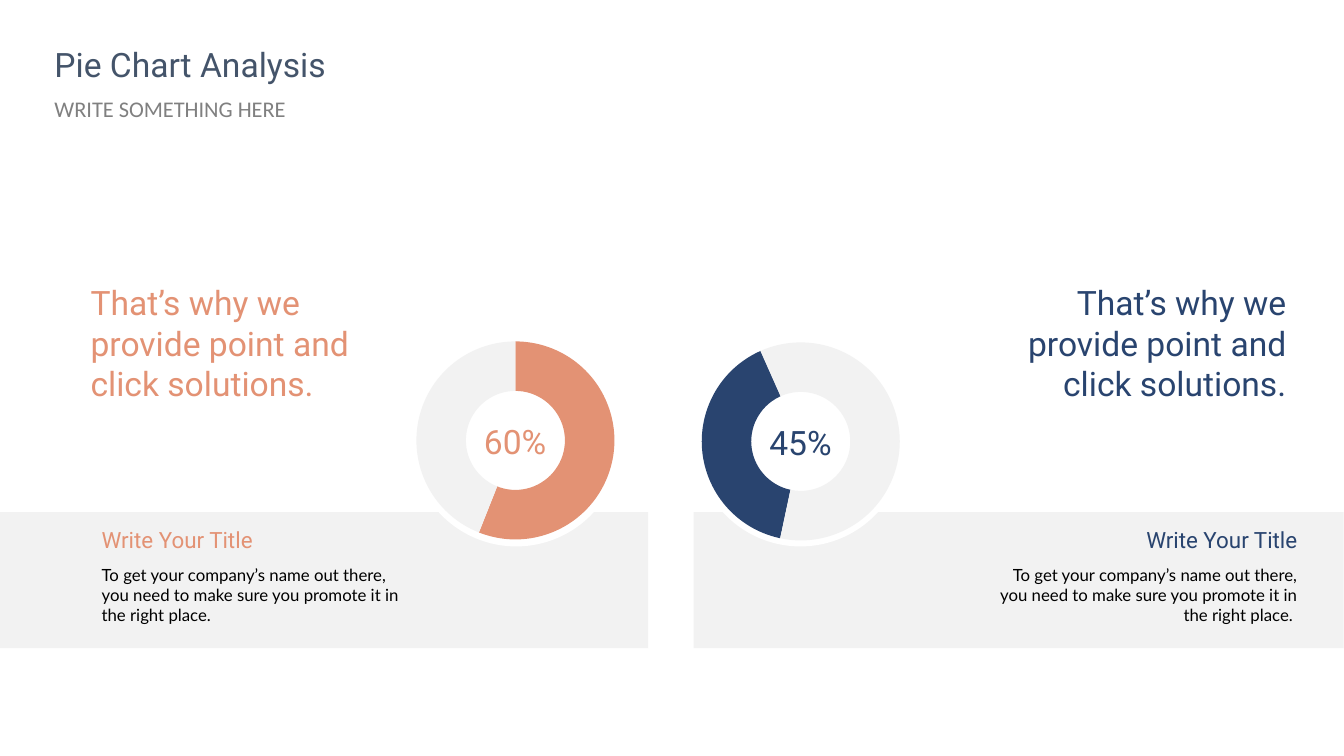
from dataclasses import dataclass

from lxml.etree import SubElement
from pptx import Presentation
from pptx.chart.data import CategoryChartData
from pptx.dml.color import RGBColor
from pptx.enum.chart import XL_CHART_TYPE
from pptx.enum.shapes import MSO_SHAPE
from pptx.enum.text import MSO_ANCHOR, MSO_AUTO_SIZE, PP_ALIGN
from pptx.oxml.ns import qn
from pptx.shapes.base import BaseShape
from pptx.slide import Slide
from pptx.util import Pt

CORAL, NAVY = "E39274", "29446F"
SLATE, GRAY, BLACK = "44546A", "808080", "000000"
PALE, WHITE = "F2F2F2", "FFFFFF"

QUOTE = "That’s why we provide point and click solutions."
HEADING = "Write Your Title"
DETAIL = ("To get your company’s name out there, you need to make sure "
          "you promote it in the right place.")

RING_WIDTH, RING_HEIGHT, RING_DIAMETER = 172, 161.3, 141.5
DISC_DIAMETER = 149.8


@dataclass(frozen=True)
class Box:
    left: float
    top: float
    width: float
    height: float


@dataclass(frozen=True)
class Panel:
    color: str
    alignment: PP_ALIGN
    band_left: float
    disc_left: float
    ring_left: float
    ring_top: float
    label: str
    share: int
    start_angle: int
    quote_left: float
    heading_left: float
    detail_left: float
    detail: str


PANELS = [
    Panel(CORAL, PP_ALIGN.LEFT, -1.4, 293.8, 282.2, 234, "60%", 56, 0,
          57.6, 65.5, 65.5, DETAIL),
    Panel(NAVY, PP_ALIGN.RIGHT, 495.4, 496.8, 486, 234.7, "45%", 40, 192,
          694.1, 717.1, 702, DETAIL + " "),
]


def color_of(value: str) -> RGBColor:
    return RGBColor.from_string(value)


def place(shape: BaseShape, box: Box) -> None:
    shape.left, shape.top = Pt(box.left), Pt(box.top)
    shape.width, shape.height = Pt(box.width), Pt(box.height)


def write(shape: BaseShape, text: str, *, size: float, color: str,
          font: str = "Roboto", alignment: PP_ALIGN = PP_ALIGN.LEFT,
          plain: bool = False) -> None:
    """Fill a shape with one formatted paragraph; plain removes the bullet."""
    frame = shape.text_frame
    frame.word_wrap = True
    frame.auto_size = MSO_AUTO_SIZE.NONE
    frame.vertical_anchor = MSO_ANCHOR.TOP
    frame.text = text
    paragraph = frame.paragraphs[0]
    paragraph.alignment = alignment
    paragraph.space_before = Pt(0)
    if plain:
        properties = paragraph._p.get_or_add_pPr()
        properties.set("marL", "0")
        properties.set("indent", "0")
        SubElement(properties, qn("a:buNone"))
    paragraph.font.name = font
    paragraph.font.size = Pt(size)
    paragraph.font.color.rgb = color_of(color)


def add_text(slide: Slide, box: Box, text: str, **text_format) -> None:
    shape = slide.shapes.add_textbox(Pt(box.left), Pt(box.top),
                                     Pt(box.width), Pt(box.height))
    write(shape, text, **text_format)


def add_block(slide: Slide, kind: MSO_SHAPE, box: Box, fill: str) -> None:
    shape = slide.shapes.add_shape(kind, Pt(box.left), Pt(box.top),
                                   Pt(box.width), Pt(box.height))
    shape.shadow.inherit = False
    shape.fill.solid()
    shape.fill.fore_color.rgb = color_of(fill)
    shape.line.fill.background()


def add_ring(slide: Slide, panel: Panel) -> None:
    data = CategoryChartData()
    data.categories = ["1", "2"]
    data.add_series("Series 1", (panel.share, 100 - panel.share))
    chart = slide.shapes.add_chart(
        XL_CHART_TYPE.DOUGHNUT, Pt(panel.ring_left), Pt(panel.ring_top),
        Pt(RING_WIDTH), Pt(RING_HEIGHT), data).chart
    chart.has_legend = False
    chart.has_title = False
    chart.font.name = "Calibri"
    chart.font.size = Pt(10)
    chart.font.color.rgb = color_of(BLACK)
    plot = chart.plots[0]
    plot.vary_by_categories = True
    for index, fill in enumerate((panel.color, PALE)):
        point = plot.series[0].points[index]
        point.format.fill.solid()
        point.format.fill.fore_color.rgb = color_of(fill)
        point.format.line.fill.background()

    # Rotation, hole and a centred plot area
    root = chart._chartSpace
    for tag, value in (("firstSliceAng", panel.start_angle), ("holeSize", 75)):
        for element in root.iter(qn(f"c:{tag}")):
            element.set("val", str(value))
    plot_area = next(root.iter(qn("c:plotArea")))
    for layout in plot_area.findall(qn("c:layout")):
        plot_area.remove(layout)
    layout = SubElement(plot_area, qn("c:layout"))
    plot_area.insert(0, layout)
    manual = SubElement(layout, qn("c:manualLayout"))
    width, height = RING_DIAMETER / RING_WIDTH, RING_DIAMETER / RING_HEIGHT
    settings = {"layoutTarget": "inner", "xMode": "edge", "yMode": "edge",
                "x": (1 - width) / 2, "y": (1 - height) / 2,
                "w": width, "h": height}
    for tag, value in settings.items():
        SubElement(manual, qn(f"c:{tag}")).set("val", str(value))


def add_panel(slide: Slide, panel: Panel) -> None:
    # Band, white disc and ring
    add_block(slide, MSO_SHAPE.RECTANGLE,
              Box(panel.band_left, 365.8, 464.4, 97.2), PALE)
    add_block(slide, MSO_SHAPE.OVAL,
              Box(panel.disc_left, 240.5, DISC_DIAMETER, DISC_DIAMETER), WHITE)
    add_ring(slide, panel)
    add_text(slide, Box(panel.ring_left + 35, panel.ring_top + 63.4, 101.5, 36),
             panel.label, size=24, color=panel.color,
             alignment=PP_ALIGN.CENTER)

    # Quote, heading and detail
    add_text(slide, Box(panel.quote_left, 198, 231.8, 94.3), QUOTE,
             size=24, color=panel.color, alignment=panel.alignment)
    add_text(slide, Box(panel.heading_left, 372.2, 216.7, 26.6), HEADING,
             size=16, color=panel.color, alignment=panel.alignment)
    add_text(slide, Box(panel.detail_left, 399.6, 231.8, 51.1), panel.detail,
             size=12, color=BLACK, font="Lato", alignment=panel.alignment)


def main() -> None:
    presentation = Presentation()
    presentation.slide_width, presentation.slide_height = Pt(960), Pt(540)
    slide = presentation.slides.add_slide(presentation.slide_layouts[1])

    # Title and subtitle
    title, subtitle = slide.shapes.title, slide.placeholders[1]
    place(title, Box(31.7, 28.1, 233.3, 36))
    write(title, "Pie Chart Analysis", size=24, color=SLATE)
    place(subtitle, Box(31.7, 64.1, 210.2, 26.6))
    write(subtitle, "WRITE SOMETHING HERE", size=16, color=GRAY,
          font="Calibri", plain=True)

    # Mirrored panels
    for panel in PANELS:
        add_panel(slide, panel)
    presentation.save("out.pptx")


if __name__ == "__main__":
    main()
